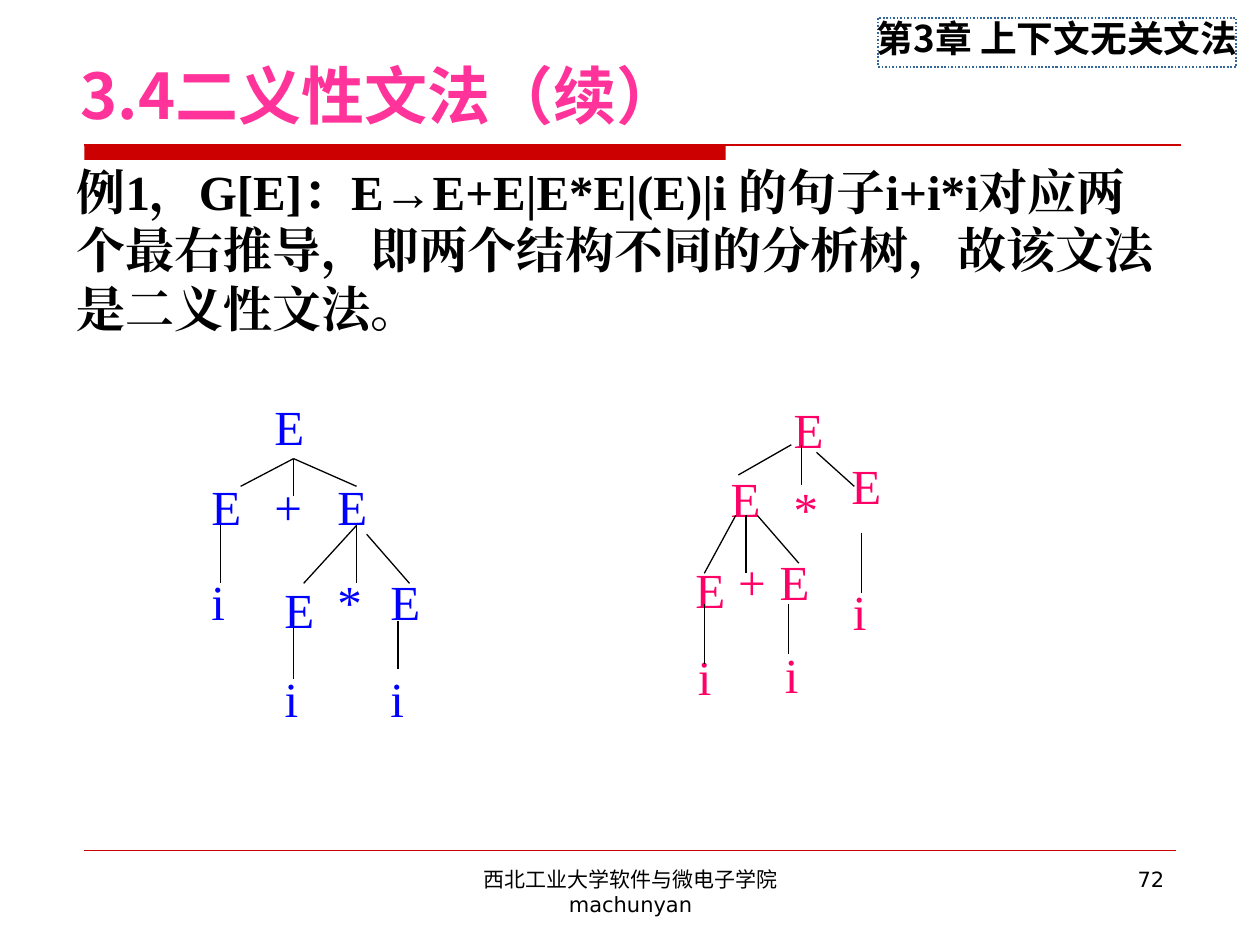
from lxml import etree
from pptx import Presentation
from pptx import util as u
from pptx.dml.color import RGBColor
from pptx.enum import dml, shapes, text
from pptx.oxml.ns import qn

COLORS = {"red": "CC0000", "navy": "336699", "black": "000000",
          "pink": "FF3399", "blue": "0000FF", "rose": "FF0066"}
CJK, SERIF, SANS = "Noto Sans CJK JP", "Times New Roman", "DejaVu Sans"
LEFT, CENTER, RIGHT = text.PP_ALIGN.LEFT, text.PP_ALIGN.CENTER, text.PP_ALIGN.RIGHT

TITLE = "3.4二义性文法（续）"
CHAPTER = "第3章 上下文无关文法"
EXAMPLE = ("例1，G[E]：E→E+E|E*E|(E)|i 的句子i+i*i"
           "对应两个最右推导，即两个结构不同的分析树，故该文法是二义性文法。")
FOOTER = "西北工业大学软件与微电子学院 machunyan"
PAGE = "72"

# Parse trees: nodes are (symbol, left, top); edges are (x1, y1, x2, y2)
NODE_WIDTH = {"E": 0.44, "i": 0.31, "+": 0.42, "*": 0.4}
NODE_HEIGHT = 0.57
TREES = [
    {"color": "blue",
     "nodes": [("E", 2.08, 3.1),
               ("E", 1.58, 3.73), ("+", 2.08, 3.73), ("E", 2.58, 3.73),
               ("i", 1.58, 4.49), ("E", 2.16, 4.55), ("*", 2.58, 4.49), ("E", 3, 4.49),
               ("i", 2.16, 5.26), ("i", 3, 5.26)],
     "edges": [(2.33, 3.64, 1.91, 3.86), (2.33, 3.64, 2.33, 3.94), (2.33, 3.64, 2.83, 3.86),
               (1.75, 4.17, 1.75, 4.63),
               (2.83, 4.17, 2.41, 4.63), (2.83, 4.17, 2.83, 4.63), (2.91, 4.24, 3.25, 4.63),
               (2.33, 4.93, 2.33, 5.39), (3.16, 4.93, 3.16, 5.31)]},
    {"color": "rose",
     "nodes": [("E", 6.2, 3.12),
               ("E", 5.7, 3.67), ("*", 6.2, 3.75), ("E", 6.66, 3.57),
               ("E", 5.42, 4.39), ("+", 5.76, 4.33), ("E", 6.09, 4.33), ("i", 6.67, 4.57),
               ("i", 5.44, 5.08), ("i", 6.13, 5.07)],
     "edges": [(6.28, 3.53, 5.86, 3.77), (6.36, 3.53, 6.36, 3.85), (6.48, 3.59, 6.78, 3.86),
               (5.84, 4.09, 5.59, 4.55), (5.92, 4.09, 5.92, 4.55), (6.01, 4.09, 6.34, 4.47),
               (6.84, 4.23, 6.84, 4.71),
               (5.59, 4.79, 5.59, 5.27), (6.26, 4.79, 6.26, 5.19)]},
]


def rgb(name):
    return RGBColor.from_string(COLORS[name])


def inches(*values):
    return [u.Inches(v) for v in values]


def write(sp, words, size, font, color="black", bold=False, align=LEFT,
          anchor=text.MSO_ANCHOR.TOP, wrap=True):
    tf = sp.text_frame
    tf.word_wrap, tf.vertical_anchor = wrap, anchor
    tf.auto_size = text.MSO_AUTO_SIZE.NONE
    p = tf.paragraphs[0]
    p.alignment = align
    r = p.add_run()
    r.text = words
    r.font.size, r.font.bold, r.font.name = u.Pt(size), bold, font
    r.font.color.rgb = rgb(color)
    etree.SubElement(r.font._element, qn("a:ea"), typeface=font)
    return p


def add_text(s, box, *args, **kwargs):
    return write(s.shapes.add_textbox(*inches(*box)), *args, **kwargs)


def add_line(s, ends, color="black", width=0.75):
    line = s.shapes.add_connector(shapes.MSO_CONNECTOR.STRAIGHT, *inches(*ends))
    line.line.color.rgb = rgb(color)
    line.line.width = u.Pt(width)
    etree.SubElement(line._element.spPr, qn("a:effectLst"))


def add_rect(s, box):
    sp = s.shapes.add_shape(shapes.MSO_SHAPE.RECTANGLE, *inches(*box))
    sp.shadow.inherit = False
    return sp


def main():
    prs = Presentation()
    prs.slide_width, prs.slide_height = inches(10, 7.5)
    s = prs.slides.add_slide(prs.slide_layouts[5])

    # Title
    title = s.shapes.title
    title.left, title.top, title.width, title.height = inches(0.54, 0.6, 5.25, 0.5)
    write(title, TITLE, 36, CJK, "pink", True, anchor=text.MSO_ANCHOR.BOTTOM)

    # Rules under the title and above the footer
    bar = add_rect(s, (0.67, 1.15, 5.09, 0.12))
    bar.fill.solid()
    bar.fill.fore_color.rgb = rgb("red")
    bar.line.fill.background()
    add_line(s, (0.67, 1.15, 9.37, 1.15), "red")
    add_line(s, (0.67, 6.75, 9.33, 6.75), "red", 0.25)

    # Chapter label
    label = add_rect(s, (6.97, 0.14, 2.84, 0.39))
    label.fill.background()
    label.line.color.rgb = rgb("navy")
    label.line.width = u.Pt(1)
    label.line.dash_style = dml.MSO_LINE.ROUND_DOT
    p = write(label, CHAPTER, 21, CJK, bold=True, align=CENTER,
              anchor=text.MSO_ANCHOR.MIDDLE, wrap=False)
    p.line_spacing = 0.75

    # Example statement
    add_text(s, (0.51, 1.23, 8.74, 1.5), EXAMPLE, 28, SERIF, bold=True)

    # Parse trees
    for tree in TREES:
        for symbol, x, y in tree["nodes"]:
            add_text(s, (x, y, NODE_WIDTH[symbol], NODE_HEIGHT), symbol, 28, SERIF,
                     tree["color"], wrap=False)
        for ends in tree["edges"]:
            add_line(s, ends)

    # Footer and page number
    add_text(s, (3.42, 6.83, 3.17, 0.52), FOOTER, 12, SANS, align=CENTER)
    add_text(s, (7.17, 6.83, 2.17, 0.52), PAGE, 12, SANS, align=RIGHT)

    prs.save("out.pptx")


if __name__ == "__main__":
    main()
